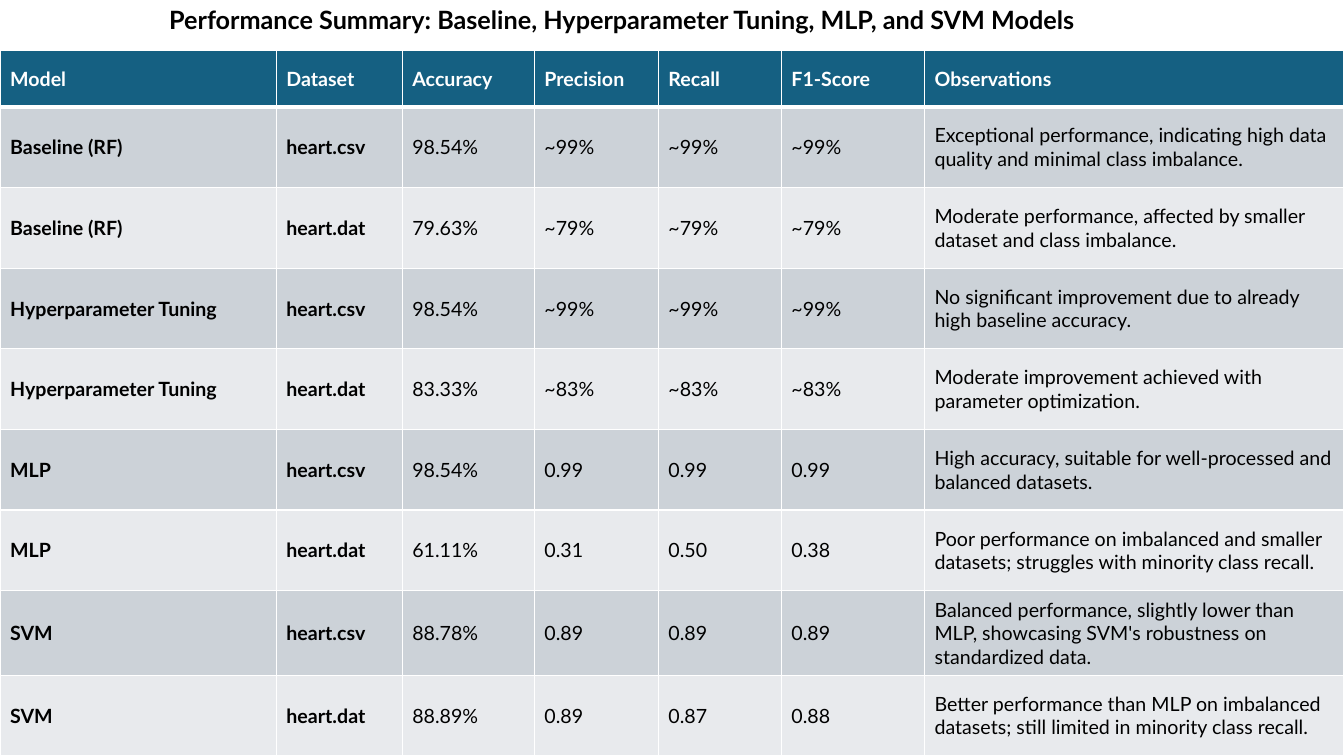
"""Build a slide that tabulates the scores of the heart-disease models."""
from dataclasses import dataclass

from lxml.etree import SubElement
from pptx import Presentation
from pptx.dml.color import RGBColor as Rgb
from pptx.enum.text import MSO_ANCHOR as Anchor
from pptx.oxml.ns import qn
from pptx.util import Inches, Pt


@dataclass(frozen=True)
class Theme:
    font: str = "Lato"
    title_size: int = 18
    table_size: int = 14
    ink: str = "000000"
    rule: str = "FFFFFF"
    header_ink: str = "FFFFFF"
    header_fill: str = "156082"
    bands: tuple = ("CCD2D8", "E8EAED")
    rule_width: int = 1
    header_rule_width: int = 3


theme = Theme()


def style_paragraph(paragraph, size, color, bold):
    for run in paragraph.runs:
        run.font.name = theme.font
        run.font.size = Pt(size)
        run.font.bold = bold
        run.font.color.rgb = Rgb.from_string(color)


def add_border(cell, side, width):
    line = SubElement(cell._tc.get_or_add_tcPr(), qn(f"a:{side}"), w=str(Pt(width)))
    fill = SubElement(line, qn("a:solidFill"))
    SubElement(fill, qn("a:srgbClr"), val=theme.rule)


presentation = Presentation()
presentation.slide_width = Inches(13.33)
presentation.slide_height = Inches(7.5)
slide = presentation.slides.add_slide(presentation.slide_layouts[6])

title = slide.shapes.add_textbox(Inches(1.58), 0, Inches(9.44), Inches(0.42)).text_frame
title.word_wrap = True
title.vertical_anchor = Anchor.MIDDLE
title.text = "Performance Summary: Baseline, Hyperparameter Tuning, MLP, and SVM Models"
title.paragraphs[0].line_spacing = 0.9
style_paragraph(title.paragraphs[0], theme.title_size, theme.ink, True)

results = [
    ("Model", "Dataset", "Accuracy", "Precision", "Recall", "F1-Score", "Observations"),
    ("Baseline (RF)", "heart.csv", "98.54%", "~99%", "~99%", "~99%",
     "Exceptional performance, indicating high data quality and minimal class imbalance."),
    ("Baseline (RF)", "heart.dat", "79.63%", "~79%", "~79%", "~79%",
     "Moderate performance, affected by smaller dataset and class imbalance."),
    ("Hyperparameter Tuning", "heart.csv", "98.54%", "~99%", "~99%", "~99%",
     "No significant improvement due to already high baseline accuracy."),
    ("Hyperparameter Tuning", "heart.dat", "83.33%", "~83%", "~83%", "~83%",
     "Moderate improvement achieved with parameter optimization."),
    ("MLP", "heart.csv", "98.54%", "0.99", "0.99", "0.99",
     "High accuracy, suitable for well-processed and balanced datasets."),
    ("MLP", "heart.dat", "61.11%", "0.31", "0.50", "0.38",
     "Poor performance on imbalanced and smaller datasets; struggles with minority class recall."),
    ("SVM", "heart.csv", "88.78%", "0.89", "0.89", "0.89",
     "Balanced performance, slightly lower than MLP, showcasing SVM's robustness on "
     "standardized data."),
    ("SVM", "heart.dat", "88.89%", "0.89", "0.87", "0.88",
     "Better performance than MLP on imbalanced datasets; still limited in minority class recall."),
]
column_widths = [2.74, 1.25, 1.31, 1.23, 1.22, 1.42, 4.16]
row_heights = [0.56] + [0.8] * 6 + [0.84, 0.8]

summary = slide.shapes.add_table(
    len(results), len(column_widths), 0, Inches(0.5), Inches(13.33), Inches(7)
).table
for column, width in zip(summary.columns, column_widths):
    column.width = Inches(width)
for row, height in zip(summary.rows, row_heights):
    row.height = Inches(height)

for row_index, result in enumerate(results):
    is_header = row_index == 0
    fill_color = theme.header_fill if is_header else theme.bands[(row_index - 1) % 2]
    text_color = theme.header_ink if is_header else theme.ink
    top_width = theme.header_rule_width if row_index == 1 else theme.rule_width
    bottom_width = theme.header_rule_width if is_header else theme.rule_width
    for column_index, entry in enumerate(result):
        cell = summary.cell(row_index, column_index)
        cell.text = entry
        cell.vertical_anchor = Anchor.MIDDLE
        add_border(cell, "lnL", theme.rule_width)
        add_border(cell, "lnR", theme.rule_width)
        add_border(cell, "lnT", top_width)
        add_border(cell, "lnB", bottom_width)
        cell.fill.solid()
        cell.fill.fore_color.rgb = Rgb.from_string(fill_color)
        is_bold = is_header or column_index < 2
        style_paragraph(cell.text_frame.paragraphs[0], theme.table_size, text_color, is_bold)

presentation.save("out.pptx")
